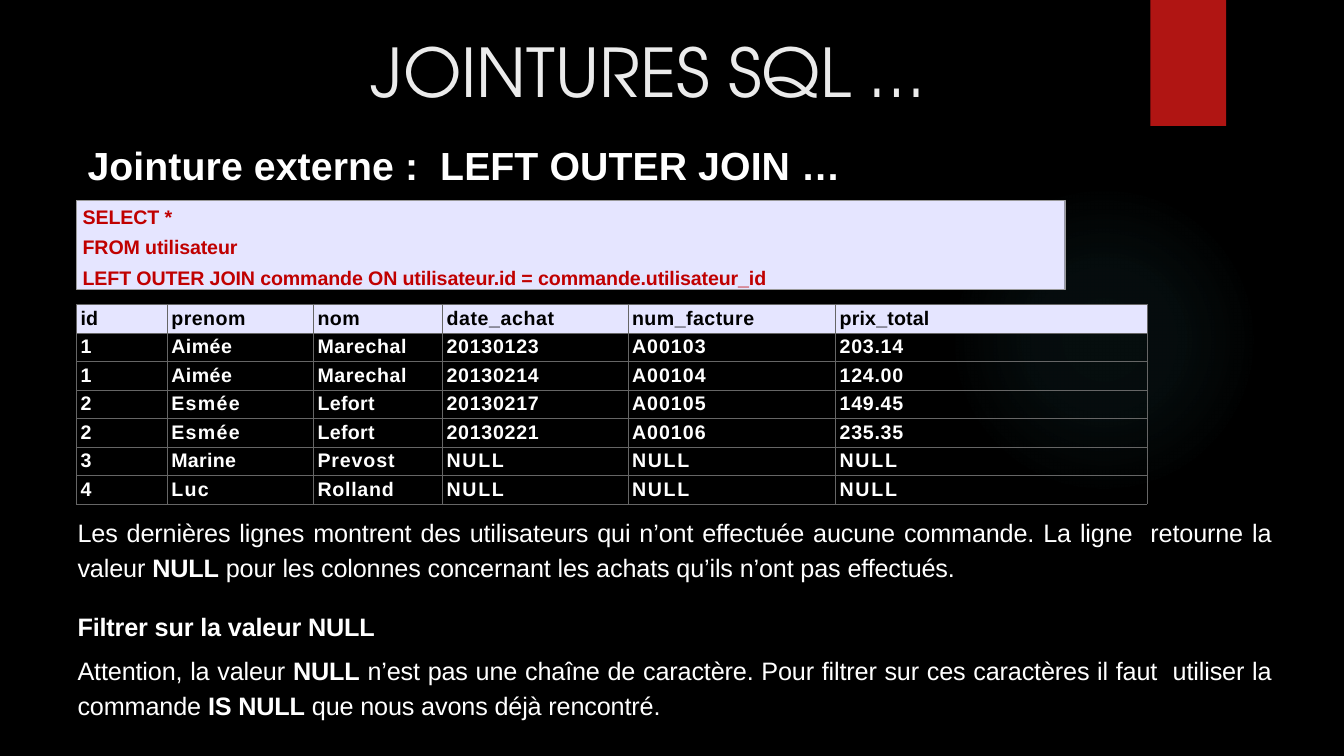
from lxml.etree import SubElement
from pptx import Presentation
from pptx.dml.color import RGBColor
from pptx.enum.shapes import MSO_SHAPE
from pptx.enum.text import MSO_ANCHOR, PP_ALIGN
from pptx.oxml import parse_xml
from pptx.oxml.ns import nsdecls, qn
from pptx.util import Inches, Pt

WIDTH, HEIGHT = Inches(13.33), Inches(7.5)
LEFT = 5.7  # shared left edge, in percent of the width

COLORS = {
    "background": "000000",
    "glow": "50B9C1",
    "ribbon": "B01513",
    "title": "EBEBEB",
    "text": "FFFFFF",
    "header_text": "000000",
    "panel": "E5E5FF",
    "panel_line": "999999",
    "query": "C00000",
    "grid": "666666",
}

QUERY = [
    "SELECT *",
    "FROM utilisateur",
    "LEFT OUTER JOIN commande ON utilisateur.id = commande.utilisateur_id",
]

COLUMN_SHARES = [6.75, 10.88, 9.6, 13.8, 15.45, 23.18]
ROW_SHARE = 3.77
ROWS = [
    ["id", "prenom", "nom", "date_achat", "num_facture", "prix_total"],
    ["1", "Aimée", "Marechal", "20130123", "A00103", "203.14"],
    ["1", "Aimée", "Marechal", "20130214", "A00104", "124.00"],
    ["2", "Esmée", "Lefort", "20130217", "A00105", "149.45"],
    ["2", "Esmée", "Lefort", "20130221", "A00106", "235.35"],
    ["3", "Marine", "Prevost", "NULL", "NULL", "NULL"],
    ["4", "Luc", "Rolland", "NULL", "NULL", "NULL"],
]
# Letter spacing in points: by word, else by column
WORD_SPACING = {
    "id": 0.1, "nom": 0.3, "date_achat": 0.4, "num_facture": 0.3,
    "prix_total": 0.1, "Esmée": 0.9, "Lefort": 0.2, "Marine": 0.2,
    "Prevost": 0.6, "Luc": 0.9, "Rolland": 0.5, "NULL": 1.2,
}
COLUMN_SPACING = [0, 0.3, 0.4, 0.5, 0.7, 0.5]

# Text, space before, line spacing; ** marks bold words
NOTES = [
    ("Les dernières lignes montrent des utilisateurs qui n’ont effectuée "
     "aucune commande. La ligne  retourne la valeur **NULL** pour les "
     "colonnes concernant les achats qu’ils n’ont pas effectués.", 1, 1.15),
    ("**Filtrer sur la valeur NULL**", 20.8, 1),
    ("Attention, la valeur **NULL** n’est pas une chaîne de caractère. Pour "
     "filtrer sur ces caractères il faut  utiliser la commande **IS NULL** "
     "que nous avons déjà rencontré.", 6.2, 1.15),
]


def rgb(name):
    return RGBColor.from_string(COLORS[name])


def across(share):
    return round(WIDTH * share / 100)


def down(share):
    return round(HEIGHT * share / 100)


def area(left, top, width, height):
    return across(left), down(top), across(width), down(height)


def add_block(page, kind, place):
    block = page.shapes.add_shape(kind, *area(*place))
    block.shadow.inherit = False
    block.line.fill.background()
    return block


def add_text_box(page, place):
    box = page.shapes.add_textbox(*area(*place))
    box.text_frame.word_wrap = True
    return box.text_frame


def set_insets(target, top):
    target.margin_left = target.margin_right = target.margin_bottom = 0
    target.margin_top = Inches(top)


def write(para, text, size, color, font="Arial", bold=False, spacing=0,
          before=0, indent=0.0, align=PP_ALIGN.LEFT):
    para.alignment = align
    para.space_before = Pt(before)
    para.font.name = font
    para.font.size = Pt(size)
    para.font.color.rgb = rgb(color)
    properties = para._p.get_or_add_pPr()
    properties.set("marL", str(Inches(indent)))
    properties.set("indent", "0")
    properties.get_or_add_defRPr().set("spc", str(round(spacing * 100)))
    pieces = text.split("**")
    if len(pieces) == 1:
        para.font.bold = bold
    for index, piece in enumerate(pieces):
        if piece:
            span = para.add_run()
            span.text = piece
            if len(pieces) > 1:
                span.font.bold = index % 2 == 1


def write_lines(frame, lines):
    """Yield a paragraph with each line, using the first one already there."""
    for index, line in enumerate(lines):
        yield (frame.add_paragraph() if index else frame.paragraphs[0]), line


def add_glow(page):
    glow = add_block(page, MSO_SHAPE.OVAL, (70.59, 24.4, 23.1, 41.07))
    glow.fill.background()
    stops = "".join(
        f'<a:gs pos="{place}000"><a:srgbClr val="{COLORS["glow"]}">'
        f'<a:alpha val="{alpha}000"/></a:srgbClr></a:gs>'
        for place, alpha in [(0, 7), (36, 6), (69, 0)])
    gradient = parse_xml(
        f'<a:gradFill {nsdecls("a")} rotWithShape="1"><a:gsLst>{stops}</a:gsLst>'
        '<a:path path="circle"><a:fillToRect l="50000" t="50000" r="50000" '
        'b="50000"/></a:path></a:gradFill>')
    properties = glow._element.spPr
    properties.replace(properties.find(qn("a:noFill")), gradient)


def add_query(page):
    panel = add_block(page, MSO_SHAPE.RECTANGLE, (LEFT, 26.53, 73.52, 11.73))
    panel.fill.solid()
    panel.fill.fore_color.rgb = rgb("panel")
    panel.line.color.rgb = rgb("panel_line")
    panel.line.width = Pt(0.25)
    frame = panel.text_frame
    frame.word_wrap = True
    frame.vertical_anchor = MSO_ANCHOR.TOP
    set_insets(frame, 0.04)
    for para, line in write_lines(frame, QUERY):
        write(para, line, 14, "query", bold=True, spacing=-0.1,
              before=2.7 if line == QUERY[0] else 5.1, indent=0.06)


def add_borders(cell):
    properties = cell._tc.get_or_add_tcPr()
    for index, side in enumerate(("lnL", "lnR", "lnT", "lnB")):
        line = SubElement(properties, qn(f"a:{side}"), w=str(Pt(0.25)))
        fill = SubElement(line, qn("a:solidFill"))
        SubElement(fill, qn("a:srgbClr"), val=COLORS["grid"])
        properties.insert(index, line)


def add_results(page):
    place = area(LEFT, 40.27, sum(COLUMN_SHARES), ROW_SHARE * len(ROWS))
    table = page.shapes.add_table(len(ROWS), len(COLUMN_SHARES), *place).table
    table.first_row = table.horz_banding = False
    for column, share in zip(table.columns, COLUMN_SHARES):
        column.width = across(share)
    for r, row in enumerate(ROWS):
        table.rows[r].height = down(ROW_SHARE)
        for c, word in enumerate(row):
            cell = table.cell(r, c)
            set_insets(cell, 0.03)
            if r == 0:
                cell.fill.solid()
                cell.fill.fore_color.rgb = rgb("panel")
            else:
                cell.fill.background()
            add_borders(cell)
            write(cell.text_frame.paragraphs[0], word, 14,
                  "text" if r else "header_text", bold=True, before=2.1,
                  spacing=WORD_SPACING.get(word, COLUMN_SPACING[c]), indent=0.04)


def add_notes(page):
    frame = add_text_box(page, (LEFT, 67.73, 88.9, 28))
    set_insets(frame, 0.01)
    for para, (text, before, line_spacing) in write_lines(frame, NOTES):
        write(para, text, 18, "text", spacing=-0.1, before=before,
              indent=0.01, align=PP_ALIGN.JUSTIFY)
        para.line_spacing = line_spacing


def main():
    deck = Presentation()
    deck.slide_width, deck.slide_height = WIDTH, HEIGHT
    page = deck.slides.add_slide(deck.slide_layouts[6])

    # Backdrop
    page.background.fill.solid()
    page.background.fill.fore_color.rgb = rgb("background")
    add_glow(page)
    ribbon = add_block(page, MSO_SHAPE.RECTANGLE, (85.6, 0, 5.63, 16.67))
    ribbon.fill.solid()
    ribbon.fill.fore_color.rgb = rgb("ribbon")

    # Title and heading
    title = add_text_box(page, (11.03, 2.8, 74.34, 12.53))
    title.vertical_anchor = MSO_ANCHOR.BOTTOM
    write(title.paragraphs[0], "JOINTURES SQL …", 48, "title",
          font="TeX Gyre Adventor", align=PP_ALIGN.CENTER)
    heading = add_text_box(page, (LEFT, 18, 86.5, 7.6))
    write(heading.paragraphs[0], "Jointure externe :  LEFT OUTER JOIN …", 28,
          "text", bold=True, spacing=0.1, before=13.7, indent=0.01,
          align=PP_ALIGN.JUSTIFY)

    # Query, its result and the remarks
    add_query(page)
    add_results(page)
    add_notes(page)
    deck.save("out.pptx")


if __name__ == "__main__":
    main()
